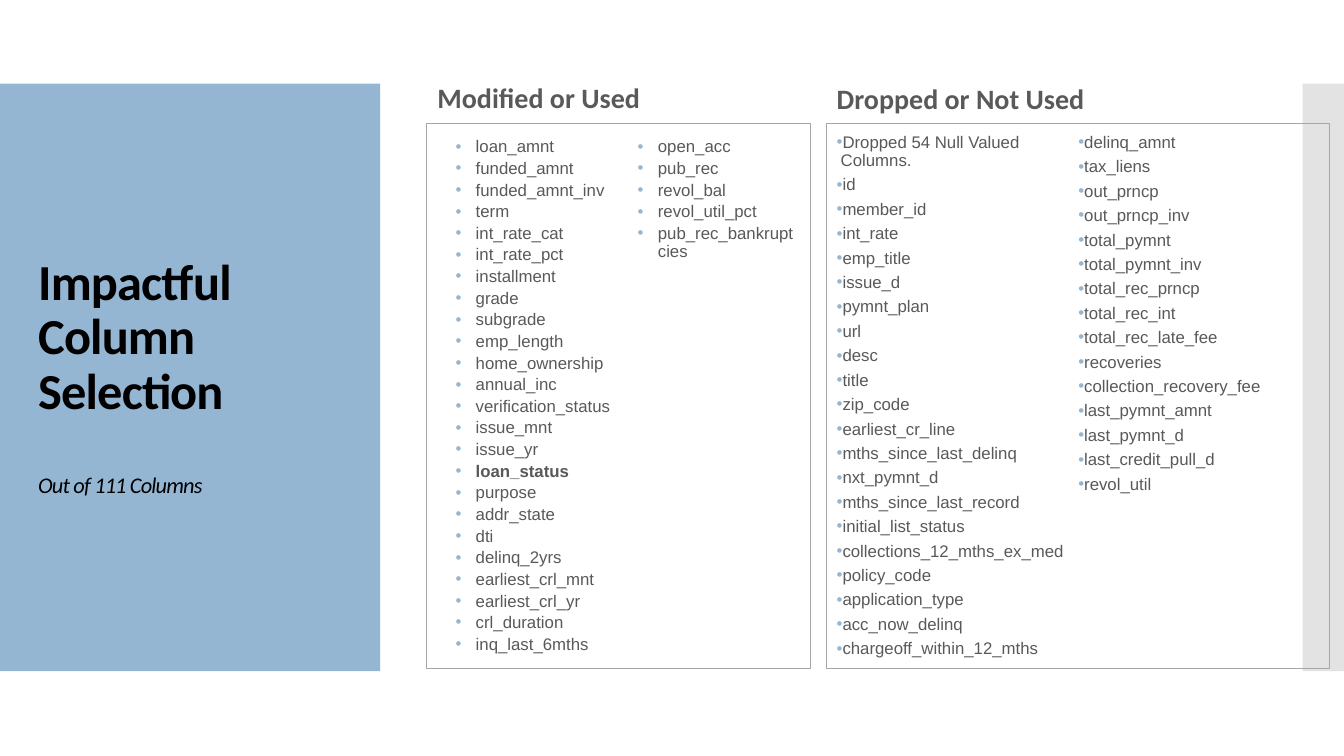
from lxml.etree import SubElement
from pptx import Presentation
from pptx.dml.color import RGBColor
from pptx.enum.shapes import MSO_SHAPE
from pptx.enum.text import MSO_ANCHOR, PP_ALIGN
from pptx.oxml.ns import qn
from pptx.util import Inches, Pt

BLUE = RGBColor(0x94, 0xB6, 0xD2)
SILVER = RGBColor(0xC8, 0xC8, 0xC8)
BORDER = RGBColor(0xA6, 0xA6, 0xA6)
GRAY = RGBColor(0x59, 0x59, 0x59)
BLACK = RGBColor(0, 0, 0)

USED_COLUMNS = """loan_amnt funded_amnt funded_amnt_inv term int_rate_cat int_rate_pct
installment grade subgrade emp_length home_ownership annual_inc verification_status
issue_mnt issue_yr loan_status purpose addr_state dti delinq_2yrs earliest_crl_mnt
earliest_crl_yr crl_duration inq_last_6mths open_acc pub_rec revol_bal revol_util_pct
pub_rec_bankruptcies""".split()

DROPPED_COLUMNS = ["Dropped 54 Null Valued Columns."] + """id member_id int_rate emp_title
issue_d pymnt_plan url desc title zip_code earliest_cr_line mths_since_last_delinq
nxt_pymnt_d mths_since_last_record initial_list_status collections_12_mths_ex_med
policy_code application_type acc_now_delinq chargeoff_within_12_mths delinq_amnt
tax_liens out_prncp out_prncp_inv total_pymnt total_pymnt_inv total_rec_prncp
total_rec_int total_rec_late_fee recoveries collection_recovery_fee last_pymnt_amnt
last_pymnt_d last_credit_pull_d revol_util""".split()


class ColumnSlide:
    heading_font = "Calibri"
    list_font = "Arial"
    line_spacing = 0.9

    def __init__(self, deck):
        self.page = deck.slides.add_slide(deck.slide_layouts[6])

    def panel(self, left, top, width, height, fill=None, opacity=None, line=None):
        box = self.page.shapes.add_shape(
            MSO_SHAPE.RECTANGLE, Inches(left), Inches(top), Inches(width), Inches(height))
        box.shadow.inherit = False
        if fill is None:
            box.fill.background()
        else:
            box.fill.solid()
            box.fill.fore_color.rgb = fill
        if opacity is not None:
            color = box.fill._xPr.find(qn("a:solidFill"))[0]
            SubElement(color, qn("a:alpha")).set("val", str(opacity * 1000))
        if line is None:
            box.line.fill.background()
        else:
            box.line.color.rgb = line
            box.line.width = Pt(0.75)
        return box

    def style(self, para, font, size, color, bold=False, italic=False):
        para.alignment = PP_ALIGN.LEFT
        para.line_spacing = self.line_spacing
        for span in para.runs:
            span.font.name = font
            span.font.size = Pt(size)
            span.font.color.rgb = color
            span.font.bold = bold
            span.font.italic = italic

    def text(self, left, top, width, height, words, anchor):
        box = self.page.shapes.add_textbox(
            Inches(left), Inches(top), Inches(width), Inches(height))
        frame = box.text_frame
        frame.word_wrap = True
        frame.vertical_anchor = anchor
        frame.text = words
        return frame

    def title(self, left, top, width, height, words, subtitle):
        frame = self.text(left, top, width, height, words, MSO_ANCHOR.MIDDLE)
        note = frame.add_paragraph()
        note.text = subtitle
        note.space_before = Pt(38.5)
        self.style(frame.paragraphs[0], self.heading_font, 36, BLACK, bold=True)
        self.style(note, self.heading_font, 16, BLACK, italic=True)
        for para in frame.paragraphs:
            para.runs[0]._r.get_or_add_rPr().set("spc", "-60")

    def heading(self, left, top, width, height, words):
        frame = self.text(left, top, width, height, words, MSO_ANCHOR.BOTTOM)
        self.style(frame.paragraphs[0], self.heading_font, 20, GRAY, bold=True)

    def bullet(self, para, margin):
        props = para._p.get_or_add_pPr()
        props.set("marL", str(Inches(margin)))
        props.set("indent", str(Inches(-0.2)))
        color = SubElement(props, qn("a:buClr"))
        SubElement(color, qn("a:srgbClr")).set("val", str(BLUE))
        SubElement(props, qn("a:buFont")).set("typeface", self.list_font)
        SubElement(props, qn("a:buChar")).set("char", "•")

    def bullet_list(self, left, top, width, height, items, margin, gap, strong=None):
        frame = self.panel(left, top, width, height, line=BORDER).text_frame
        frame.word_wrap = True
        frame.vertical_anchor = MSO_ANCHOR.MIDDLE
        frame._txBody.bodyPr.set("numCol", "2")
        frame.text = "\n".join(items)
        for para in frame.paragraphs:
            self.style(para, self.list_font, 12, GRAY, bold=para.text == strong)
            para.space_before = para.space_after = Pt(gap)
            self.bullet(para, margin)


def main():
    deck = Presentation()
    deck.slide_width, deck.slide_height = Inches(13.33), Inches(7.5)
    slide = ColumnSlide(deck)

    # Side bands
    slide.panel(0, 0.83, 3.77, 5.83, fill=BLUE)
    slide.panel(12.92, 0.83, 0.41, 5.83, fill=SILVER, opacity=50)

    # Title
    slide.title(0.28, 1.23, 3.22, 5.03, "Impactful Column Selection", "Out of 111 Columns")

    # Columns that were kept
    slide.heading(4.24, 0.31, 3.8, 0.88, "Modified or Used")
    slide.bullet_list(4.23, 1.23, 3.81, 5.4, USED_COLUMNS, 0.39, 1.25, strong="loan_status")

    # Columns that were dropped
    slide.heading(8.2, 0.31, 4.99, 0.89, "Dropped or Not Used")
    slide.bullet_list(8.2, 1.23, 4.99, 5.4, DROPPED_COLUMNS, 0.04, 2.25)

    deck.save("out.pptx")


if __name__ == "__main__":
    main()
